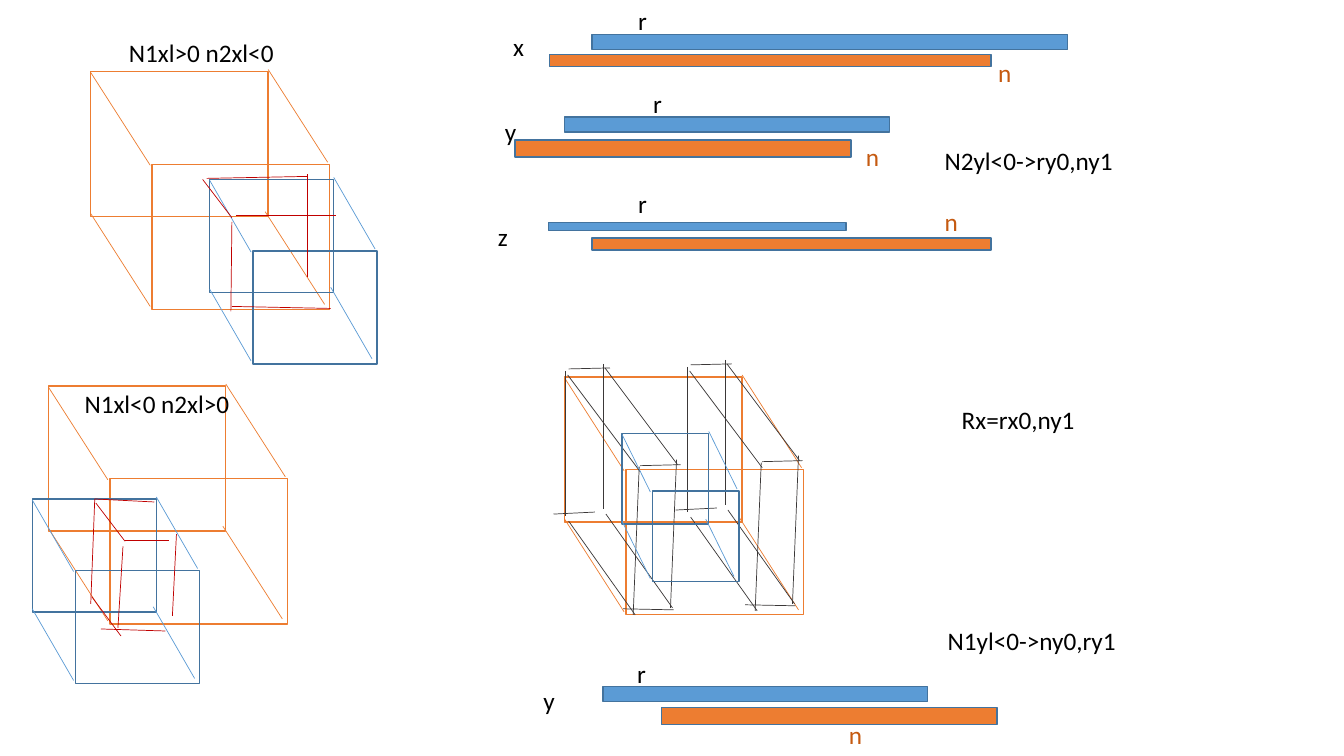
"""Build a slide of overlapping boxes and their ranges along the x, y and z axes."""
from lxml import etree
from pptx import Presentation
from pptx import util as u
from pptx.dml.color import RGBColor
from pptx.enum import shapes, text
from pptx.oxml.ns import qn

COLUMNS, ROWS = 13.33, 7.5
ORANGE, BLUE, NAVY = "ED7D31", "5B9BD5", "43739E"
RED, CHARCOAL, BLACK, RUST = "C00000", "3B3838", "000000", "C55A11"


def colour(hex_code):
    """Turn a hex string into a colour."""
    return RGBColor.from_string(hex_code)


class Sketch:
    """Hold the style, the grid and the current slide."""

    font, size, thin, thick = "Calibri", 18, 0.5, 1

    def __init__(self, presentation):
        """Add a blank slide and measure its grid cell."""
        self.slide = presentation.slides.add_slide(presentation.slide_layouts[6])
        self.column = presentation.slide_width / COLUMNS
        self.row = presentation.slide_height / ROWS

    def place(self, *lengths):
        """Turn alternating columns and rows into slide units."""
        return [u.Emu(round(length * (self.row if index % 2 else self.column)))
                for index, length in enumerate(lengths)]

    def group(self):
        """Start a group and return its shapes."""
        return self.slide.shapes.add_group_shape().shapes

    def box(self, left, top, width, height, line, fill=None, parent=None):
        """Draw an outlined rectangle, filled on request."""
        parent = self.slide.shapes if parent is None else parent
        shape = parent.add_shape(shapes.MSO_SHAPE.RECTANGLE,
                                 *self.place(left, top, width, height))
        shape.shadow.inherit = False
        shape.line.color.rgb = colour(line)
        shape.line.width = u.Pt(self.thick)
        if fill:
            shape.fill.solid()
            shape.fill.fore_color.rgb = colour(fill)
        else:
            shape.fill.background()

    def line(self, x1, y1, x2, y2, line, parent):
        """Draw a thin straight line."""
        connector = parent.add_connector(shapes.MSO_CONNECTOR.STRAIGHT,
                                         *self.place(x1, y1, x2, y2))
        connector.line.color.rgb = colour(line)
        connector.line.width = u.Pt(self.thin)
        etree.SubElement(connector._element.spPr, qn("a:effectLst"))

    def label(self, words, left, top, width=0.32, ink=BLACK):
        """Write one line of text."""
        shape = self.slide.shapes.add_textbox(*self.place(left, top, width, 0.4))
        frame = shape.text_frame
        frame.text = words
        frame.word_wrap = False
        frame.auto_size = text.MSO_AUTO_SIZE.SHAPE_TO_FIT_TEXT
        font = frame.paragraphs[0].runs[0].font
        font.name, font.size = self.font, u.Pt(self.size)
        font.color.rgb = colour(ink)

    def cube(self, left, top, width, height, depth_x, depth_y, outline, edge):
        """Draw the front and back faces and the four edges between them."""
        parent = self.group()
        self.box(left + depth_x, top + depth_y, width, height, outline, parent=parent)
        self.box(left, top, width, height, outline, parent=parent)
        corners = [(0, 0.01), (width, -0.02), (0, height - 0.03),
                   (width - 0.03, height - 0.05)]
        for x, y in corners:
            x, y = left + x, top + y
            self.line(x, y, x + depth_x - 0.02, y + depth_y, edge, parent)

    def lines(self, segments, ink, shift_x=0, shift_y=0, parent=None):
        """Draw a set of lines, shifted together."""
        parent = self.group() if parent is None else parent
        for x1, y1, x2, y2 in segments:
            self.line(x1 + shift_x, y1 + shift_y, x2 + shift_x, y2 + shift_y, ink, parent)

    def slab(self, sides, rungs, shift_x, shift_y):
        """Draw a slab from two parallel sides and the rungs joining them."""
        parent = self.group()
        self.lines(sides, CHARCOAL, shift_x, shift_y, parent)
        self.lines(sides, CHARCOAL, shift_x - 0.37, shift_y + 0.07, parent)
        self.lines(rungs, CHARCOAL, shift_x, shift_y, parent)

    def axis(self, name, name_at, r_bar, n_bar, r_at, n_at):
        """Draw the two ranges along one axis with their names."""
        self.box(*r_bar, NAVY, BLUE)
        self.box(*n_bar, NAVY, ORANGE)
        self.label(name, *name_at)
        self.label("r", *r_at)
        self.label("n", *n_at, ink=RUST)


LARGE_CUBE = (1.76, 1.44, 0.61, 0.92, ORANGE, ORANGE)
MEDIUM_CUBE = (1.23, 1.12, 0.43, 0.71, NAVY, BLUE)
SMALL_CUBE = (0.86, 0.9, 0.3, 0.57, NAVY, BLUE)

TOP_OVERLAP = [
    (3.05, 1.73, 3.05, 2.75), (2.01, 1.78, 2.3, 2.16), (2.05, 1.77, 3.05, 1.75),
    (2.3, 3.04, 3.28, 3.06), (2.3, 2.2, 2.29, 3.09), (2.34, 2.14, 3.33, 2.14),
]
BOTTOM_OVERLAP = [
    (0.94, 4.95, 0.9, 5.99), (0.95, 4.99, 1.24, 5.37), (0.94, 4.95, 1.53, 4.98),
    (1, 6.24, 1.64, 6.26), (1.22, 5.42, 1.17, 6.23), (1.24, 5.36, 1.68, 5.36),
    (0.91, 5.92, 1.2, 6.31), (1.75, 5.3, 1.71, 6.11),
]
SLAB_SIDES = [
    (6, 3.65, 6.72, 4.61), (6.71, 4.56, 6.65, 6.03),
    (5.98, 3.61, 5.98, 5.05), (6.01, 5.1, 6.67, 6.03),
]
SLAB_RUNGS = [
    (5.64, 3.66, 6.05, 3.65), (6.35, 4.62, 6.75, 4.61),
    (5.49, 5.1, 5.9, 5.08), (6.18, 6.04, 6.68, 6.05),
]
AXES = [
    ("x", (4.99, 0.26), (5.87, 0.34, 4.72, 0.15), (5.45, 0.54, 4.38, 0.12),
     (6.23, 0), (9.8, 0.52)),
    ("y", (4.91, 1.1), (5.6, 1.16, 3.22, 0.15), (5.11, 1.39, 3.33, 0.17),
     (6.38, 0.83), (8.49, 1.35)),
    ("z", (4.84, 2.15), (5.44, 2.21, 2.95, 0.08), (5.87, 2.36, 3.96, 0.12),
     (6.23, 1.82), (9.27, 2)),
    ("y", (5.29, 6.75), (5.98, 6.81, 3.22, 0.15), (6.56, 7.02, 3.33, 0.17),
     (6.22, 6.48), (8.32, 7.09)),
]
FORMULAS = [
    ("N1xl>0 n2xl<0", 1.18, 0.32, 1.65), ("N1xl<0 n2xl>0", 0.74, 3.8, 1.65),
    ("N2yl<0->ry0,ny1", 9.27, 1.39, 1.89), ("Rx=rx0,ny1", 9.44, 3.96, 1.33),
    ("N1yl<0->ny0,ry1", 9.3, 6.15, 1.89),
]

presentation = Presentation()
presentation.slide_width, presentation.slide_height = u.Inches(COLUMNS), u.Inches(ROWS)
sketch = Sketch(presentation)

sketch.cube(0.9, 0.71, *LARGE_CUBE)
sketch.cube(2.08, 1.78, *MEDIUM_CUBE)
sketch.lines(TOP_OVERLAP, RED)

sketch.cube(5.6, 3.74, *LARGE_CUBE)
for slab_shift in [(0, 0), (1.21, -0.04)]:
    sketch.slab(SLAB_SIDES, SLAB_RUNGS, *slab_shift)
sketch.cube(6.17, 4.3, *SMALL_CUBE)

sketch.cube(0.48, 3.83, *LARGE_CUBE)
sketch.cube(0.32, 4.95, *MEDIUM_CUBE)
sketch.lines(BOTTOM_OVERLAP, RED)

for axis in AXES:
    sketch.axis(*axis)
for formula in FORMULAS:
    sketch.label(*formula)

presentation.save("out.pptx")
